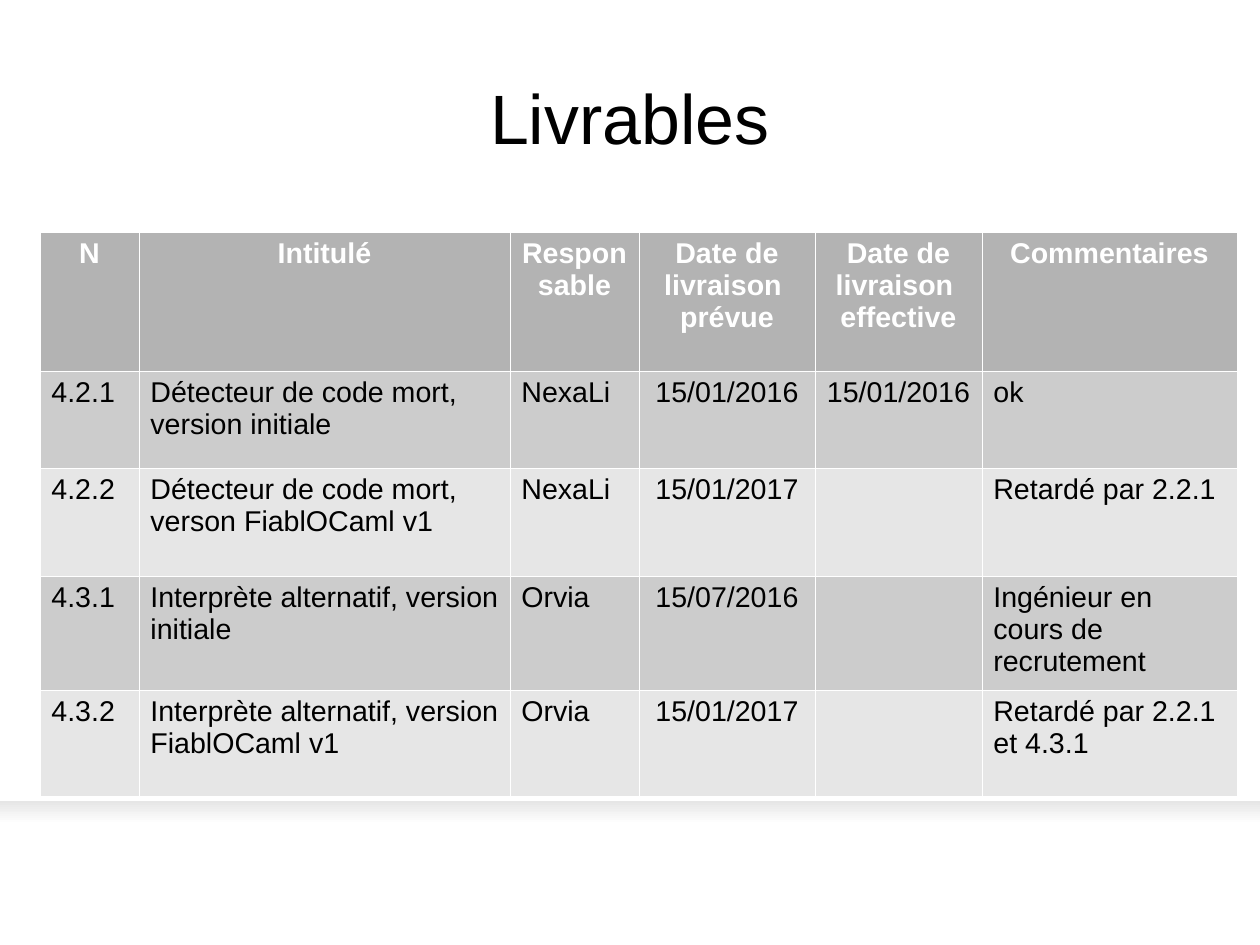
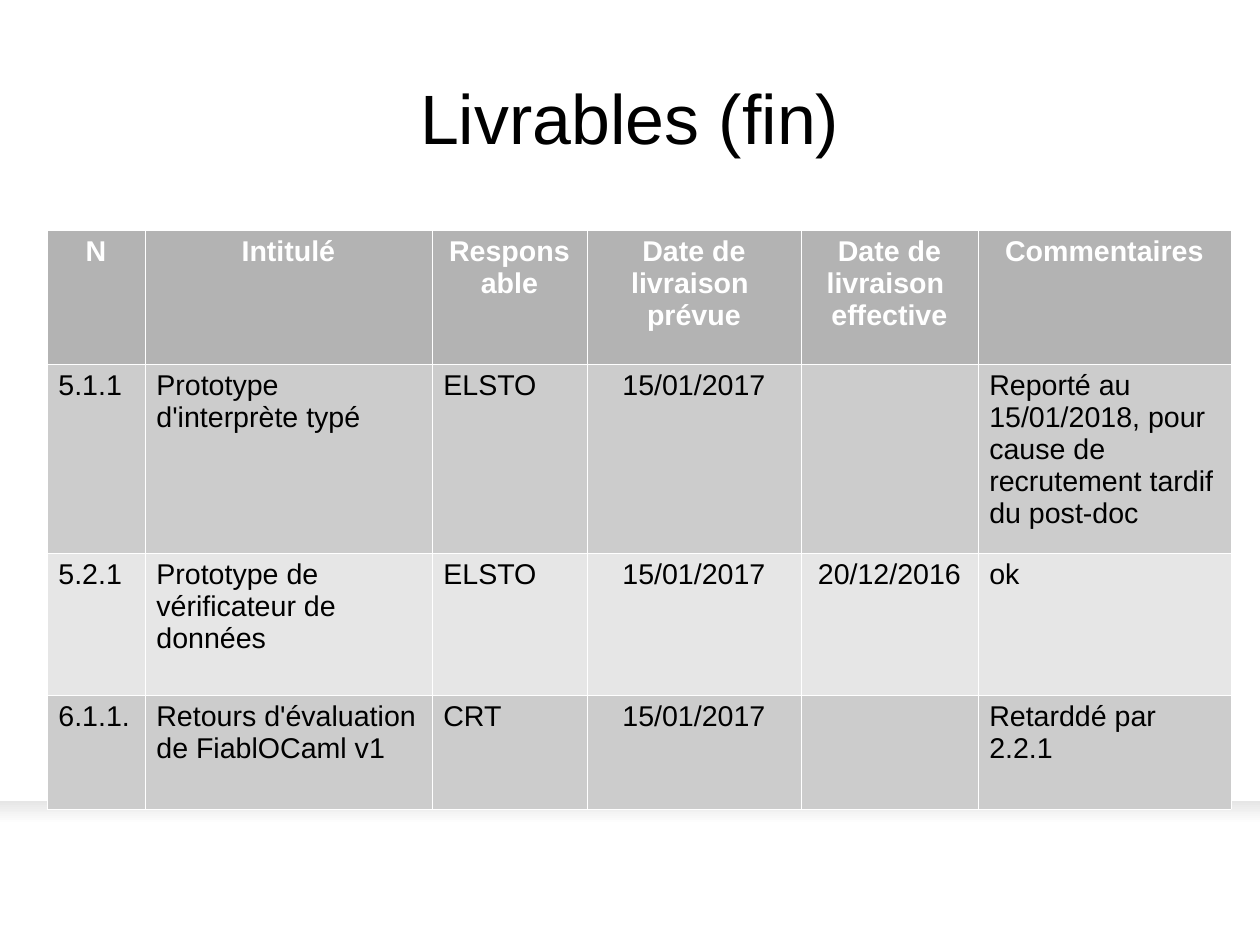
from dataclasses import dataclass

from lxml import etree
from pptx import Presentation
from pptx import util as u
from pptx.dml.color import RGBColor
from pptx.enum import shapes, text
from pptx.oxml import ns

PX = 8000  # EMU per px: 1260 by 945 px make 28 by 21 cm
SLIDE_WIDTH, SLIDE_HEIGHT = 1260, 945
FONT = "Arial"
TITLE_SIZE, CELL_SIZE = 44, 18
BORDER_WIDTH = 762  # EMU, 0.06 pt
COLORS = {
    "text": "000000",
    "white": "FFFFFF",
    "header": "B3B3B3",
    "odd": "CCCCCC",
    "even": "E6E6E6",
    "band": "E6E6E6",
}
HEADER = (
    "N",
    "Intitulé",
    "Responsable",
    "Date de\nlivraison \nprévue",
    "Date de\nlivraison \neffective",
    "Commentaires",
)
DATE_COLUMNS = (3, 4)


@dataclass(frozen=True)
class Deliverable:
    number: str
    name: str
    owner: str
    planned: str
    delivered: str
    comment: str

    def cells(self) -> tuple[str, ...]:
        return (self.number, self.name, self.owner,
                self.planned, self.delivered, self.comment)


@dataclass(frozen=True)
class DeliverablePage:
    title: str
    left: int
    top: int
    columns: tuple[int, ...]
    rows: tuple[int, ...]
    deliverables: tuple[Deliverable, ...]


PAGES = (
    DeliverablePage(
        "Livrables", 40, 232,
        (99, 371, 129, 176, 167, 255),
        (139, 97, 108, 114, 106),
        (
            Deliverable("4.2.1", "Détecteur de code mort, version initiale",
                        "NexaLi", "15/01/2016", "15/01/2016", "ok"),
            Deliverable("4.2.2", "Détecteur de code mort, verson FiablOCaml v1",
                        "NexaLi", "15/01/2017", "", "Retardé par 2.2.1"),
            Deliverable("4.3.1", "Interprète alternatif, version initiale",
                        "Orvia", "15/07/2016", "",
                        "Ingénieur en cours de recrutement"),
            Deliverable("4.3.2", "Interprète alternatif, version FiablOCaml v1",
                        "Orvia", "15/01/2017", "",
                        "Retardé par 2.2.1 et 4.3.1"),
        ),
    ),
    DeliverablePage(
        "Livrables (fin)", 47, 230,
        (98, 287, 155, 214, 177, 253),
        (134, 189, 142, 114),
        (
            Deliverable("5.1.1", "Prototype d'interprète typé",
                        "ELSTO", "15/01/2017", "",
                        "Reporté au 15/01/2018, pour cause de "
                        "recrutement tardif du post-doc"),
            Deliverable("5.2.1", "Prototype de vérificateur de données",
                        "ELSTO", "15/01/2017", "20/12/2016", "ok"),
            Deliverable("6.1.1.", "Retours d'évaluation de FiablOCaml v1",
                        "CRT", "15/01/2017", "", "Retarddé par 2.2.1"),
        ),
    ),
)


def px(length: int) -> u.Emu:
    return u.Emu(length * PX)


def rgb(name: str) -> RGBColor:
    return RGBColor.from_string(COLORS[name])


def format_text(frame, size: int, color: str, centered: bool, bold: bool = False) -> None:
    for para in frame.paragraphs:
        para.alignment = text.PP_ALIGN.CENTER if centered else text.PP_ALIGN.LEFT
        for span in para.runs:
            span.font.name = FONT
            span.font.size = u.Pt(size)
            span.font.bold = bold
            span.font.color.rgb = rgb(color)


def add_band(layout, page) -> None:
    """Draw the grey band and hand it to the shared layout."""
    band = page.shapes.add_shape(
        shapes.MSO_SHAPE.RECTANGLE, 0, px(801), px(SLIDE_WIDTH), px(23))
    band.shadow.inherit = False
    band.line.fill.background()
    band.fill.gradient()
    band.fill.gradient_angle = 270
    for stop, color in zip(band.fill.gradient_stops, ("band", "white")):
        stop.color.rgb = rgb(color)
    layout.shapes.element.insert(2, band.element)


def set_title(page, title: str) -> None:
    box = page.shapes.title
    box.left, box.top, box.width, box.height = map(px, (63, 38, 1134, 158))
    frame = box.text_frame
    frame.text = title
    frame.word_wrap = True
    frame.vertical_anchor = text.MSO_ANCHOR.MIDDLE
    frame.margin_left = frame.margin_right = 0
    frame.margin_top = frame.margin_bottom = 0
    format_text(frame, TITLE_SIZE, "text", centered=True)


def set_borders(cell) -> None:
    properties = cell._tc.get_or_add_tcPr()
    for position, side in enumerate(("a:lnL", "a:lnR", "a:lnT", "a:lnB")):
        line = etree.Element(ns.qn(side), w=str(BORDER_WIDTH))
        fill = etree.SubElement(line, ns.qn("a:solidFill"))
        etree.SubElement(fill, ns.qn("a:srgbClr"), val=COLORS["white"])
        properties.insert(position, line)


def fill_cell(cell, content: str, row: int, column: int) -> None:
    is_header = row == 0
    cell.fill.solid()
    cell.fill.fore_color.rgb = rgb("header" if is_header else "odd" if row % 2 else "even")
    set_borders(cell)
    if content:
        cell.text_frame.text = content
        format_text(cell.text_frame, CELL_SIZE, "white" if is_header else "text",
                    centered=is_header or column in DATE_COLUMNS, bold=is_header)


def add_deliverables(page, content: DeliverablePage) -> None:
    table = page.shapes.add_table(
        len(content.rows), len(content.columns), px(content.left), px(content.top),
        px(sum(content.columns)), px(sum(content.rows))).table
    table.horz_banding = False
    for column, width in zip(table.columns, content.columns):
        column.width = px(width)
    for row, height in zip(table.rows, content.rows):
        row.height = px(height)
    lines = (HEADER, *(item.cells() for item in content.deliverables))
    for row_index, line in enumerate(lines):
        for column_index, value in enumerate(line):
            fill_cell(table.cell(row_index, column_index), value, row_index, column_index)


def main() -> None:
    deck = Presentation()
    deck.slide_width, deck.slide_height = px(SLIDE_WIDTH), px(SLIDE_HEIGHT)
    layout = deck.slide_layouts.get_by_name("Title Only")
    for index, content in enumerate(PAGES):
        page = deck.slides.add_slide(layout)
        # The band sits on the layout, so it is drawn once for all slides
        if index == 0:
            add_band(layout, page)
        set_title(page, content.title)
        add_deliverables(page, content)
    deck.save("out.pptx")


if __name__ == "__main__":
    main()
